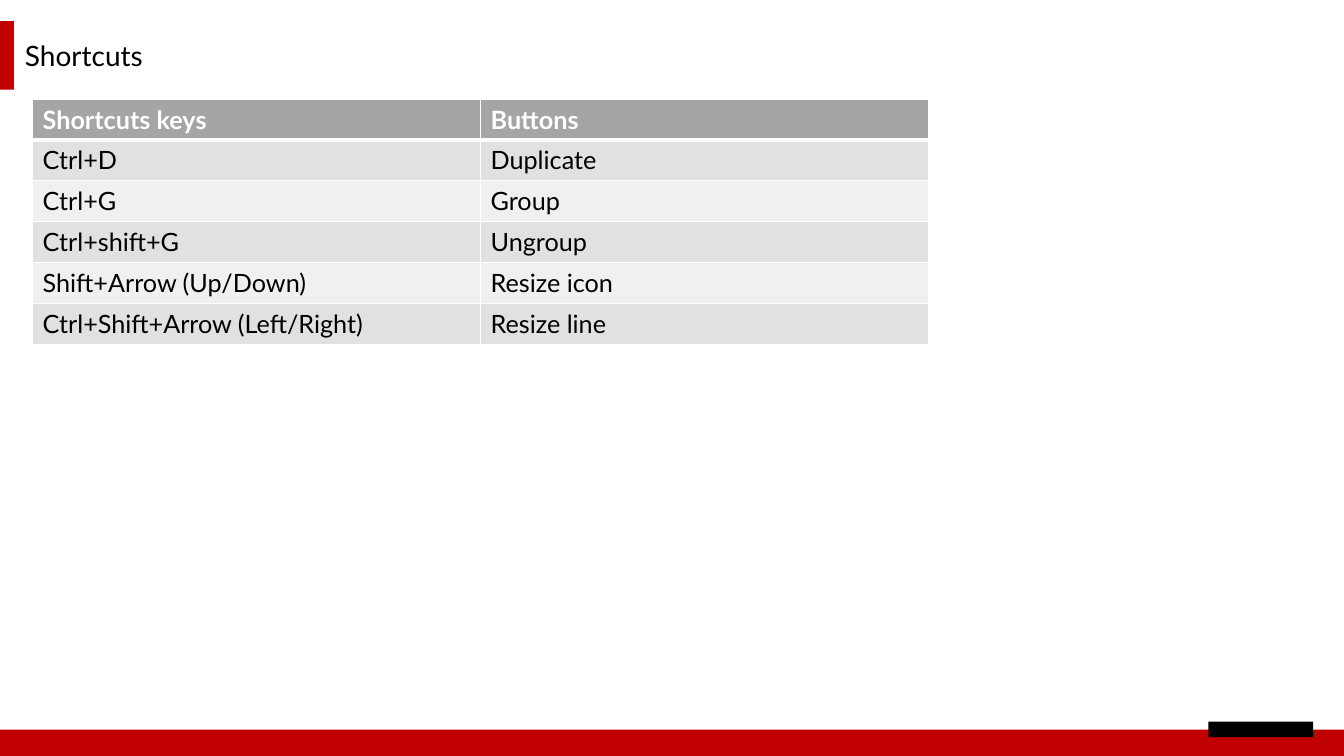
from lxml.etree import SubElement
from pptx import Presentation
from pptx.dml.color import RGBColor as RGB
from pptx.enum.shapes import MSO_SHAPE as SHAPE
from pptx.enum.text import MSO_ANCHOR as ANCHOR, MSO_AUTO_SIZE as AUTO, PP_ALIGN as ALIGN
from pptx.oxml.ns import qn
from pptx.util import Pt

TITLE = "Shortcuts"
SHORTCUTS = [
    ("Shortcuts keys", "Buttons"),
    ("Ctrl+D", "Duplicate"),
    ("Ctrl+G", "Group"),
    ("Ctrl+shift+G", "Ungroup"),
    ("Shift+Arrow (Up/Down)", "Resize icon"),
    ("Ctrl+Shift+Arrow (Left/Right)", "Resize line"),
]
THEME = {
    "font": "Lato", "title_size": 20, "table_size": 18,
    "red": "C00000", "black": "000000", "white": "FFFFFF",
    "header": "A5A5A5", "bands": ("E1E1E1", "F0F0F0"),
}
SLIDE_W, SLIDE_H = 960, 540
FOOTER_H = 18.9
# left, top, width, height, colour
BARS = [
    (0, SLIDE_H - FOOTER_H, SLIDE_W, FOOTER_H, "red"),
    (863.2, 515.5, 74.8, 11, "black"),
    (0, 15.2, 10, 48.8, "red"),
]
TITLE_BOX = (10.6, 24, 416, 31.5)
TABLE_LEFT, TABLE_TOP = 23.3, 70.8
COL_W, ROW_H = 320, 29.2
THIN, THICK = 1, 3


def apply(target, values):
    for name, value in values.items():
        setattr(target, name, value)


def style_font(font, size, colour, bold=False):
    apply(font, {"name": THEME["font"], "size": Pt(size), "bold": bold})
    font.color.rgb = RGB.from_string(THEME[colour])


def add_bar(s, left, top, width, height, colour):
    sp = s.shapes.add_shape(SHAPE.RECTANGLE, Pt(left), Pt(top), Pt(width), Pt(height))
    sp.shadow.inherit = False
    sp.fill.solid()
    sp.fill.fore_color.rgb = RGB.from_string(THEME[colour])
    sp.line.fill.background()


def add_title(s):
    sp = s.shapes.title
    apply(sp, dict(zip(("left", "top", "width", "height"), map(Pt, TITLE_BOX))))
    tf = sp.text_frame
    tf.text = TITLE
    apply(tf, {"word_wrap": True, "auto_size": AUTO.NONE, "vertical_anchor": ANCHOR.MIDDLE})
    p = tf.paragraphs[0]
    apply(p, {"alignment": ALIGN.LEFT, "line_spacing": 1.0, "space_before": Pt(0)})
    style_font(p.runs[0].font, THEME["title_size"], "black")


def set_borders(cell, top, bottom):
    """Draw white cell edges; top and bottom are line widths in points."""
    props = cell._tc.get_or_add_tcPr()
    for side, width in (("L", THIN), ("R", THIN), ("T", top), ("B", bottom)):
        ln = SubElement(props, qn(f"a:ln{side}"), w=str(int(Pt(width))))
        fill = SubElement(ln, qn("a:solidFill"))
        SubElement(fill, qn("a:srgbClr"), val=THEME["white"])


def add_shortcut_table(s):
    rows, cols = len(SHORTCUTS), len(SHORTCUTS[0])
    table = s.shapes.add_table(rows, cols, Pt(TABLE_LEFT), Pt(TABLE_TOP),
                               Pt(COL_W * cols), Pt(ROW_H * rows)).table
    for col in table.columns:
        col.width = Pt(COL_W)
    for i, texts in enumerate(SHORTCUTS):
        table.rows[i].height = Pt(ROW_H)
        is_header = i == 0
        colour = THEME["header"] if is_header else THEME["bands"][(i - 1) % 2]
        for j, text in enumerate(texts):
            cell = table.cell(i, j)
            set_borders(cell, THICK if i == 1 else THIN, THICK if is_header else THIN)
            cell.fill.solid()
            cell.fill.fore_color.rgb = RGB.from_string(colour)
            cell.text = text
            style_font(cell.text_frame.paragraphs[0].runs[0].font, THEME["table_size"],
                       "white" if is_header else "black", is_header)


def main():
    prs = Presentation()
    apply(prs, {"slide_width": Pt(SLIDE_W), "slide_height": Pt(SLIDE_H)})
    s = prs.slides.add_slide(prs.slide_layouts.get_by_name("Title Only"))
    for bar in BARS:
        add_bar(s, *bar)
    add_title(s)
    add_shortcut_table(s)
    prs.save("out.pptx")


if __name__ == "__main__":
    main()
